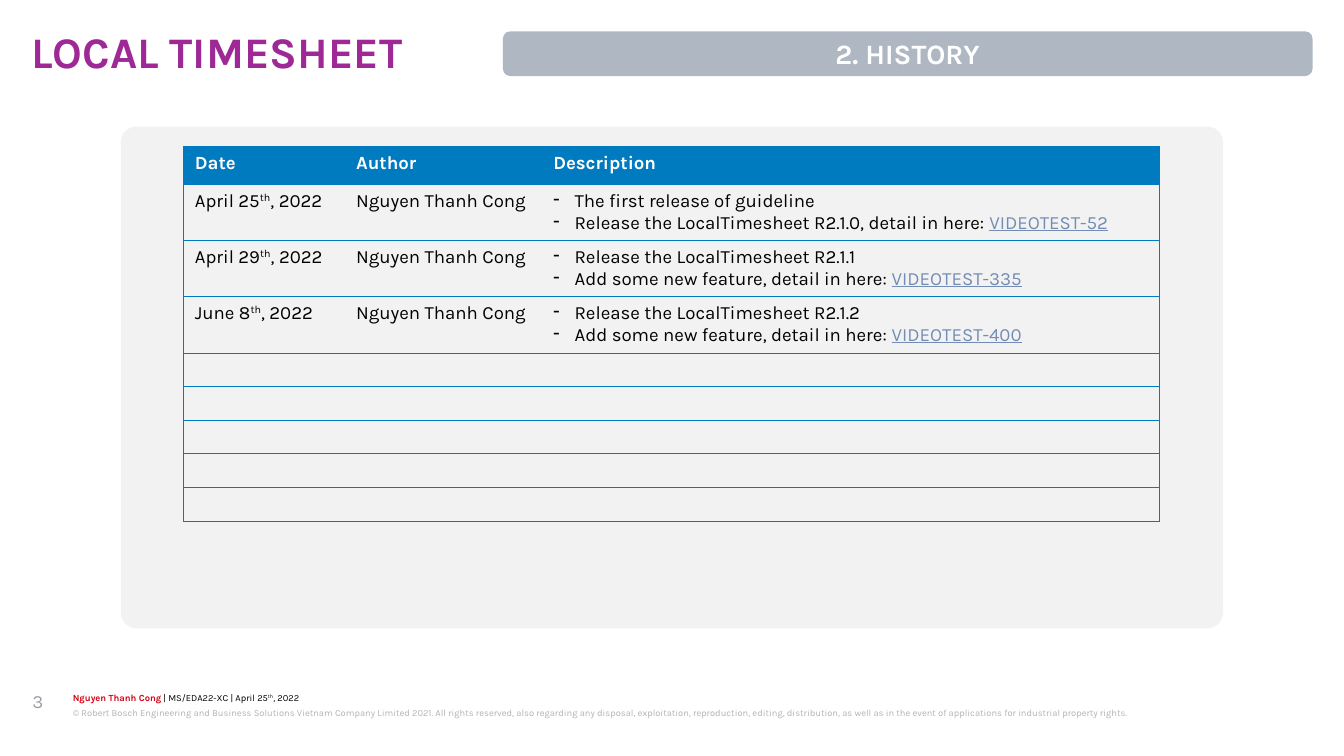
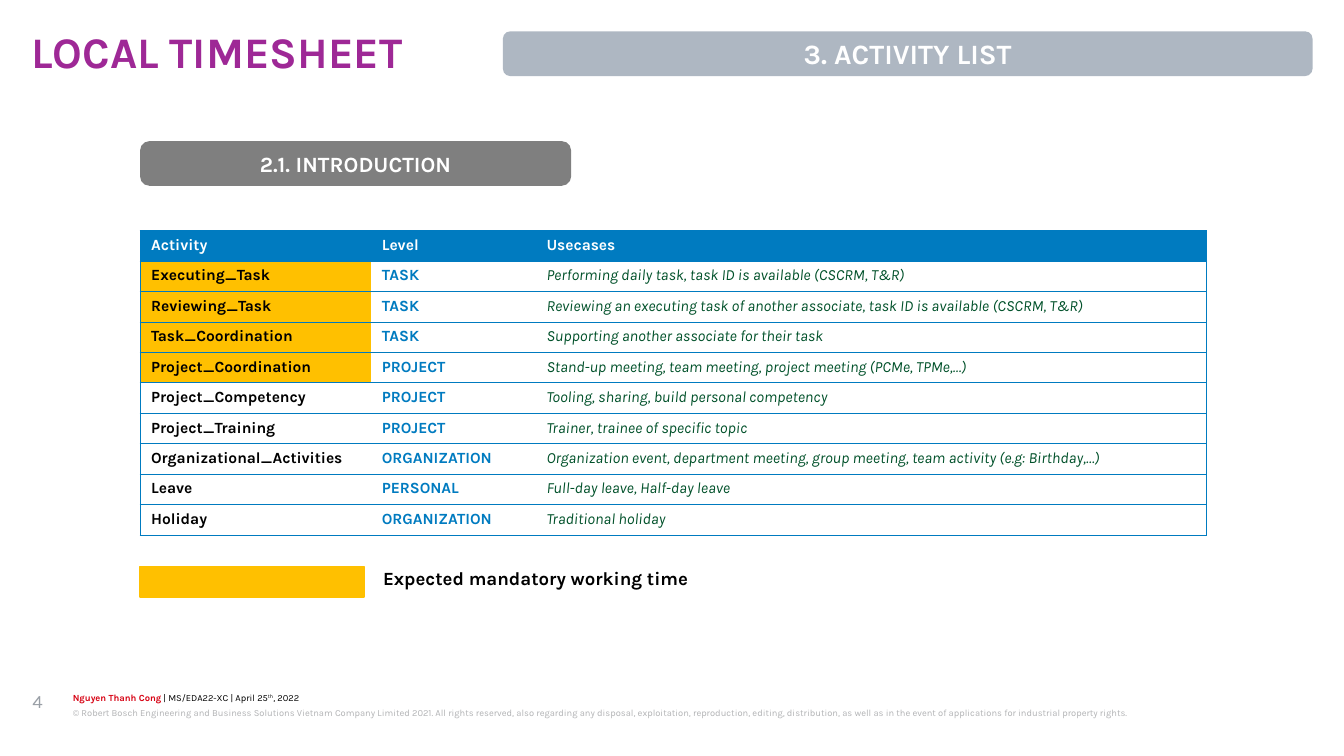
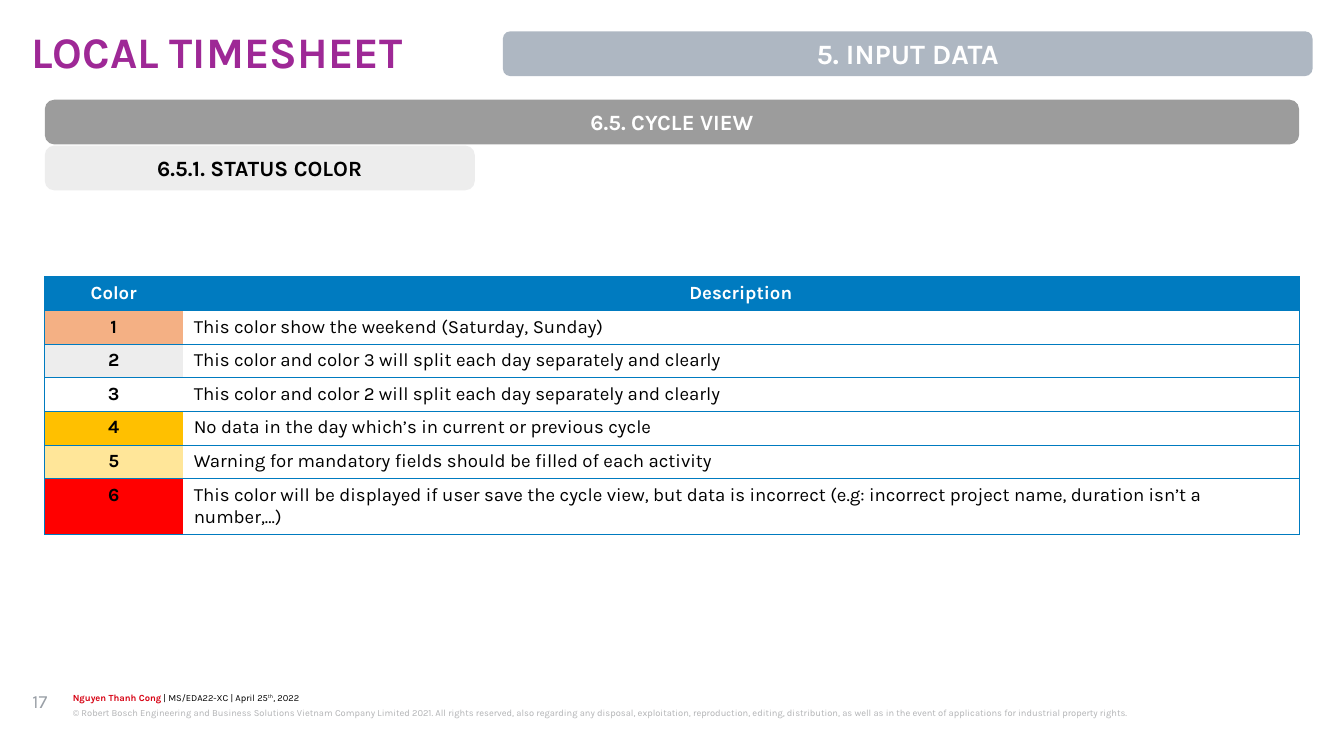
from lxml import etree
from pptx import Presentation
from pptx import util as u
from pptx.dml import color as dml
from pptx.enum import shapes, text
from pptx.oxml import ns

FONT = "Karla"
BLACK, WHITE = "000000", "FFFFFF"
BLUE, GREEN, AMBER = "007BC0", "00512A", "FFC000"
PURPLE, RED, LINK = "9E2896", "D70012", "738CB4"
BAND, PANEL = "AEB7C2", "F2F2F2"
PAGE_GREY, LEGAL_GREY = "999FA6", "B2B3B5"
NO_STYLE = "{2D5ABB26-0587-4C30-8999-92F81FD0307C}"
CENTER = text.PP_ALIGN.CENTER
ROUNDED = shapes.MSO_SHAPE.ROUNDED_RECTANGLE
SECTION_CORNER = 0.215

COPYRIGHT = (
    "© Robert Bosch Engineering and Business Solutions Vietnam Company Limited 2021. "
    "All rights reserved, also regarding any disposal, exploitation, reproduction, "
    "editing, distribution, as well as in the event of applications for industrial "
    "property rights.")


def rgb(value):
    return dml.RGBColor.from_string(value)


def inches(*values):
    return [u.Inches(value) for value in values]


def sub(parent, tag, **attributes):
    return etree.SubElement(parent, ns.qn(tag), attributes)


# Text
def add_run(paragraph, words, size, color=BLACK, bold=False, italic=False,
            underline=False, raised=False):
    run = paragraph.add_run()
    run.text = words
    font = run.font
    font.name, font.size, font.color.rgb = FONT, u.Pt(size), rgb(color)
    font.bold, font.italic, font.underline = bold, italic, underline
    if raised:
        font._element.set("baseline", "30000")


def add_date(paragraph, start, year, size):
    add_run(paragraph, start, size)
    add_run(paragraph, "th", size, raised=True)
    add_run(paragraph, f", {year}", size)


def add_text(slide, box):
    frame = slide.shapes.add_textbox(*inches(*box)).text_frame
    frame.word_wrap = True
    frame.margin_left = frame.margin_right = frame.margin_top = frame.margin_bottom = 0
    return frame.paragraphs[0]


# Shapes
def add_block(slide, kind, box, fill, corner=None, opacity=None):
    block = slide.shapes.add_shape(kind, *inches(*box))
    block.shadow.inherit = False
    block.fill.solid()
    block.fill.fore_color.rgb = rgb(fill)
    block.line.fill.background()
    if corner is not None:
        block.adjustments[0] = corner
    if opacity is not None:
        color = block._element.spPr.find(".//" + ns.qn("a:srgbClr"))
        sub(color, "a:alpha", val=str(opacity * 1000))
    return block


def add_band(slide, box, words, size, fill, color=WHITE, corner=None, opacity=None):
    frame = add_block(slide, ROUNDED, box, fill, corner, opacity).text_frame
    frame.vertical_anchor = text.MSO_ANCHOR.MIDDLE
    frame.paragraphs[0].alignment = CENTER
    add_run(frame.paragraphs[0], words, size, color, bold=True)


# Tables
def style_cell(cell, sides, fill=None):
    if fill:
        cell.fill.solid()
        cell.fill.fore_color.rgb = rgb(fill)
    else:
        cell.fill.background()
    properties = cell._tc.get_or_add_tcPr()
    for place, side in enumerate(sides):
        line = etree.Element(ns.qn(f"a:ln{side}"), w=str(u.Pt(0.5)))
        sub(sub(line, "a:solidFill"), "a:srgbClr", val=BLUE)
        properties.insert(place, line)


def add_grid(slide, left, top, widths, heights, headings, size, align=None):
    box = inches(left, top, sum(widths), sum(heights))
    table = slide.shapes.add_table(len(heights), len(widths), *box).table
    properties = table._tbl.tblPr
    properties.find(ns.qn("a:tableStyleId")).text = NO_STYLE
    table.first_row = table.horz_banding = False
    for column, width in zip(table.columns, widths):
        column.width = u.Inches(width)
    for row, height in zip(table.rows, heights):
        row.height = u.Inches(height)
    last = len(widths) - 1
    for i, row in enumerate(table.rows):
        for j, cell in enumerate(row.cells):
            sides = ["L"] * (j == 0) + ["R"] * (j == last) + ["T", "B"]
            style_cell(cell, sides, BLUE if i == 0 else None)
    for cell, heading in zip(table.rows[0].cells, headings):
        paragraph = cell.text_frame.paragraphs[0]
        paragraph.alignment = align
        add_run(paragraph, heading, size, WHITE, bold=True)
    return table


def first_line(cell):
    return cell.text_frame.paragraphs[0]


def fill_cell(cell, color):
    cell.fill.solid()
    cell.fill.fore_color.rgb = rgb(color)


def add_dash(paragraph):
    properties = paragraph._p.get_or_add_pPr()
    indent = u.Inches(0.19)
    properties.set("marL", str(indent))
    properties.set("indent", str(-indent))
    sub(properties, "a:buChar", char="-")


# Title, section band and footer of every slide
def start_slide(deck, number, section):
    slide = deck.slides.add_slide(deck.slide_layouts[5])
    title = slide.shapes.title
    title.left, title.top, title.width, title.height = inches(0.28, 0.28, 11.43, 0.43)
    frame = title.text_frame
    frame.margin_left = frame.margin_right = frame.margin_top = frame.margin_bottom = 0
    frame.auto_size = text.MSO_AUTO_SIZE.NONE
    frame.vertical_anchor = text.MSO_ANCHOR.TOP
    heading = frame.paragraphs[0]
    heading.alignment, heading.line_spacing = text.PP_ALIGN.LEFT, 0.89
    add_run(heading, "LOCAL TIMESHEET", 28, PURPLE, bold=True)
    add_band(slide, (4.49, 0.28, 7.23, 0.4), section, 18, BAND)

    author = add_text(slide, (0.65, 6.17, 10.01, 0.12))
    author.line_spacing = 1.07
    add_run(author, "Nguyen Thanh Cong", 6, RED, bold=True)
    add_run(author, " | MS/EDA22-XC | ", 6)
    add_date(author, "April 25", 2022, 6)
    legal = add_text(slide, (0.65, 6.29, 10.01, 0.24))
    legal.line_spacing = 1.2
    add_run(legal, COPYRIGHT, 6, LEGAL_GREY)
    add_run(add_text(slide, (0.29, 6.16, 0.32, 0.45)), str(number), 12, PAGE_GREY)
    return slide


def build_history(deck):
    slide = start_slide(deck, 3, "2. HISTORY")
    add_block(slide, ROUNDED, (1.08, 1.13, 9.84, 4.48), PANEL, corner=0.031)
    feature = "Add some new feature, detail in here: "
    releases = [
        ("April 25", "The first release of guideline",
         "Release the LocalTimesheet R2.1.0, detail in here: ", "VIDEOTEST-52"),
        ("April 29", "Release the LocalTimesheet R2.1.1", feature, "VIDEOTEST-335"),
        ("June 8", "Release the LocalTimesheet R2.1.2", feature, "VIDEOTEST-400"),
    ]
    spare_rows = 5
    heights = [0.34] + [0.49] * len(releases) + [0.295] * spare_rows
    table = add_grid(slide, 1.64, 1.31, [1.44, 1.76, 5.51], heights,
                     ["Date", "Author", "Description"], 12)
    for i, (day, change, detail, ticket) in enumerate(releases, 1):
        date, author, description = table.rows[i].cells
        add_date(first_line(date), day, 2022, 12)
        add_run(first_line(author), "Nguyen Thanh Cong", 12)
        summary, reference = first_line(description), description.text_frame.add_paragraph()
        add_dash(summary)
        add_run(summary, change, 12)
        add_dash(reference)
        add_run(reference, detail, 12)
        add_run(reference, ticket, 12, LINK, underline=True)
    # Spare rows keep the height of a 12 point line
    for i in range(len(releases) + 1, len(heights)):
        for cell in table.rows[i].cells:
            sub(first_line(cell)._p, "a:endParaRPr", sz="1200")


def build_activities(deck):
    slide = start_slide(deck, 4, "3. ACTIVITY LIST")
    add_band(slide, (1.25, 1.26, 3.85, 0.4), "2.1. INTRODUCTION", 14, BLACK,
             corner=SECTION_CORNER, opacity=50)
    activities = [
        ("Executing_Task", "TASK",
         "Performing daily task, task ID is available (CSCRM, T&R)"),
        ("Reviewing_Task", "TASK",
         "Reviewing an executing task of another associate, task ID is available (CSCRM, T&R)"),
        ("Task_Coordination", "TASK", "Supporting another associate for their task"),
        ("Project_Coordination", "PROJECT",
         "Stand-up meeting, team meeting, project meeting (PCMe, TPMe,…)"),
        ("Project_Competency", "PROJECT", "Tooling, sharing, build personal competency"),
        ("Project_Training", "PROJECT", "Trainer, trainee of specific topic"),
        ("Organizational_Activities", "ORGANIZATION",
         "Organization event, department meeting, group meeting, team activity "
         "(e.g: Birthday,…)"),
        ("Leave", "PERSONAL", "Full-day leave, Half-day leave"),
        ("Holiday", "ORGANIZATION", "Traditional holiday"),
    ]
    mandatory = 4
    table = add_grid(slide, 1.25, 2.06, [2.06, 1.47, 5.99],
                     [2.72 / 10] * (len(activities) + 1),
                     ["Activity", "Level", "Usecases"], 10)
    for i, (name, scope, usecase) in enumerate(activities, 1):
        activity, level, usage = table.rows[i].cells
        if i <= mandatory:
            fill_cell(activity, AMBER)
        add_run(first_line(activity), name, 10, bold=True)
        add_run(first_line(level), scope, 10, BLUE, bold=True)
        add_run(first_line(usage), usecase, 10, GREEN, italic=True)

    # Legend
    swatch = add_block(slide, shapes.MSO_SHAPE.RECTANGLE, (1.25, 5.06, 2, 0.27), AMBER)
    swatch.line.color.rgb = rgb(AMBER)
    swatch.line.width = u.Pt(1)
    legend = add_text(slide, (3.42, 5.06, 3.06, 0.27))
    add_run(legend, "Expected mandatory working time", 12, bold=True)


def build_status_colors(deck):
    slide = start_slide(deck, 17, "5. INPUT DATA")
    add_band(slide, (0.4, 0.89, 11.2, 0.4), "6.5. CYCLE VIEW", 14, BLACK,
             corner=SECTION_CORNER, opacity=39)
    add_band(slide, (0.4, 1.3, 3.84, 0.4), "6.5.1. STATUS COLOR", 14, "D1D1D3",
             BLACK, corner=SECTION_CORNER, opacity=39)
    statuses = [
        ("F4B084", "This color show the weekend (Saturday, Sunday)"),
        ("EDEDED", "This color and color 3 will split each day separately and clearly"),
        (WHITE, "This color and color 2 will split each day separately and clearly"),
        (AMBER, "No data in the day which’s in current or previous cycle"),
        ("FFE699", "Warning for mandatory fields should be filled of each activity"),
        ("FF0000", "This color will be displayed if user save the cycle view, but data is "
                   "incorrect (e.g: incorrect project name, duration isn’t a number,…)"),
    ]
    table = add_grid(slide, 0.4, 2.47, [1.23, 9.97], [0.295] * len(statuses) + [0.49],
                     ["Color", "Description"], 12, CENTER)
    for i, (color, meaning) in enumerate(statuses, 1):
        status, description = table.rows[i].cells
        fill_cell(status, color)
        first_line(status).alignment = CENTER
        add_run(first_line(status), str(i), 12, bold=True)
        add_run(first_line(description), meaning, 12)


def main():
    deck = Presentation()
    deck.slide_width, deck.slide_height = inches(12, 6.75)
    build_history(deck)
    build_activities(deck)
    build_status_colors(deck)
    deck.save("out.pptx")


if __name__ == "__main__":
    main()
